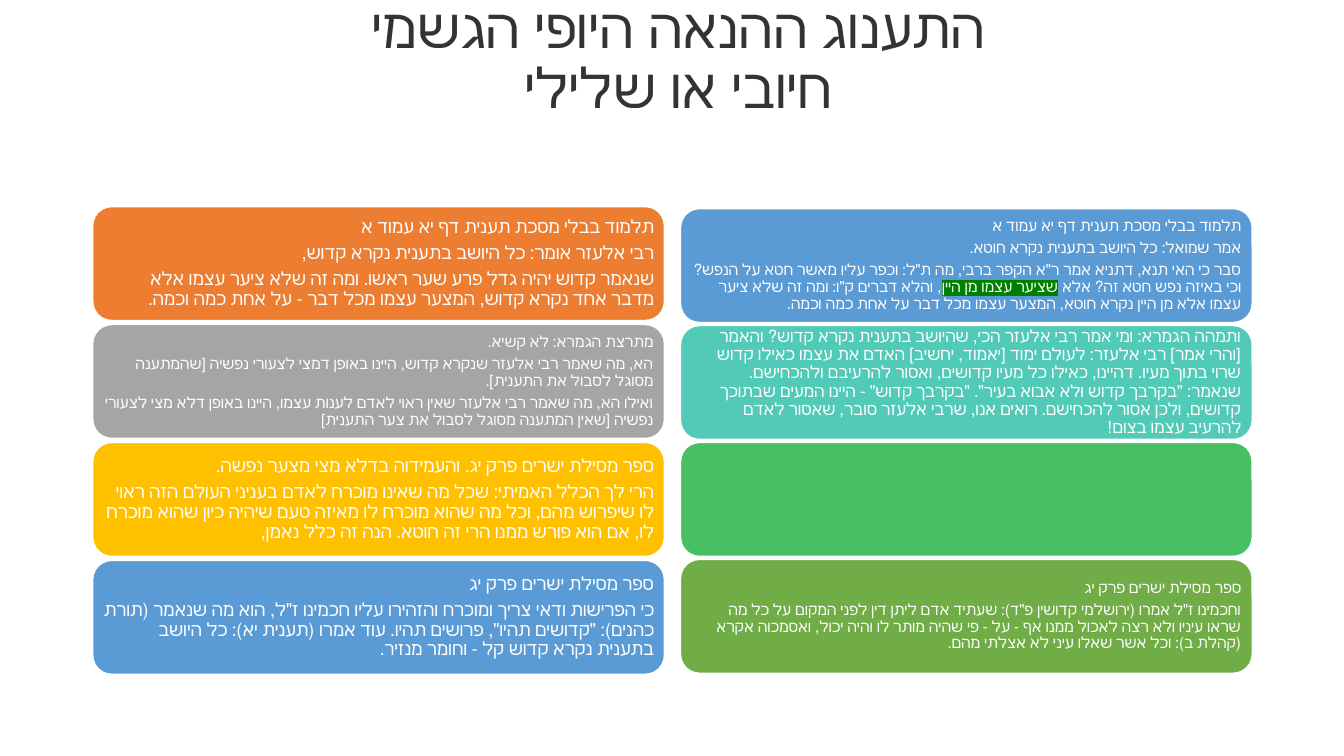
"""Build a Hebrew slide with two columns of quotation cards under a title."""
import pptx
import pptx.dml.color
import pptx.enum.shapes
import pptx.enum.text
import pptx.oxml
import pptx.oxml.ns
import pptx.util
from pptx.util import Inches

RGBColor = pptx.dml.color.RGBColor
ALIGN = pptx.enum.text.PP_ALIGN
MIDDLE = pptx.enum.text.MSO_ANCHOR.MIDDLE
WHITE = RGBColor(0xFF, 0xFF, 0xFF)
DARK = RGBColor(0x33, 0x33, 0x33)
ORANGE = RGBColor(0xED, 0x7D, 0x31)
GRAY = RGBColor(0xA5, 0xA5, 0xA5)
GOLD = RGBColor(0xFF, 0xC0, 0x00)
BLUE = RGBColor(0x5B, 0x9B, 0xD5)
TEAL = RGBColor(0x52, 0xCA, 0xB8)
GREEN = RGBColor(0x49, 0xBF, 0x64)
OLIVE = RGBColor(0x70, 0xAD, 0x47)
MARK = RGBColor(0x00, 0x80, 0x00)
KEY = "שציער עצמו מן היין"

LEFT = [
    (ORANGE, 13, [
        "תלמוד בבלי מסכת תענית דף יא עמוד א",
        "רבי אלעזר אומר: כל היושב בתענית נקרא קדוש,",
        "שנאמר קדוש יהיה גדל פרע שער ראשו. ומה זה שלא ציער עצמו אלא "
        "מדבר אחד נקרא קדוש, המצער עצמו מכל דבר - על אחת כמה וכמה."]),
    (GRAY, 11, [
        "מתרצת הגמרא: לא קשיא.",
        "הא, מה שאמר רבי אלעזר שנקרא קדוש, היינו באופן דמצי לצעורי נפשיה "
        "[שהמתענה מסוגל לסבול את התענית].",
        "ואילו הא, מה שאמר רבי אלעזר שאין ראוי לאדם לענות עצמו, היינו באופן "
        "דלא מצי לצעורי נפשיה [שאין המתענה מסוגל לסבול את צער התענית]"]),
    (GOLD, 13, [
        "ספר מסילת ישרים פרק יג. והעמידוה בדלא מצי מצער נפשה.",
        "הרי לך הכלל האמיתי: שכל מה שאינו מוכרח לאדם בעניני העולם הזה ראוי "
        "לו שיפרוש מהם, וכל מה שהוא מוכרח לו מאיזה טעם שיהיה כיון שהוא מוכרח "
        "לו, אם הוא פורש ממנו הרי זה חוטא. הנה זה כלל נאמן,"]),
    (BLUE, 13, [
        "ספר מסילת ישרים פרק יג",
        'כי הפרישות ודאי צריך ומוכרח והזהירו עליו חכמינו ז"ל, הוא מה שנאמר '
        '(תורת כהנים): "קדושים תהיו", פרושים תהיו. עוד אמרו (תענית יא): '
        "כל היושב בתענית נקרא קדוש קל - וחומר מנזיר."]),
]
RIGHT = [
    (BLUE, 11, [
        "תלמוד בבלי מסכת תענית דף יא עמוד א",
        "אמר שמואל: כל היושב בתענית נקרא חוטא.",
        'סבר כי האי תנא, דתניא אמר ר"א הקפר ברבי, מה ת"ל: וכפר עליו מאשר חטא '
        f"על הנפש? וכי באיזה נפש חטא זה? אלא {KEY}"
        ', והלא דברים ק"ו: ומה זה שלא ציער עצמו אלא מן היין נקרא חוטא, '
        "המצער עצמו מכל דבר על אחת כמה וכמה."]),
    (TEAL, 12, [
        "ותמהה הגמרא: ומי אמר רבי אלעזר הכי, שהיושב בתענית נקרא קדוש? והאמר "
        "[והרי אמר] רבי אלעזר: לעולם ימוד [יאמוד, יחשיב] האדם את עצמו כאילו "
        "קדוש שרוי בתוך מעיו. דהיינו, כאילו כל מעיו קדושים, ואסור להרעיבם "
        'ולהכחישם. שנאמר: "בקרבך קדוש ולא אבוא בעיר". "בקרבך קדוש" - היינו '
        "המעים שבתוכך קדושים, ולכן אסור להכחישם. רואים אנו, שרבי אלעזר סובר, "
        "שאסור לאדם להרעיב עצמו בצום!"]),
    (GREEN, 12, []),
    (OLIVE, 11, [
        "ספר מסילת ישרים פרק יג",
        'וחכמינו ז"ל אמרו (ירושלמי קדושין פ"ד): שעתיד אדם ליתן דין לפני המקום '
        "על כל מה שראו עיניו ולא רצה לאכול ממנו אף - על - פי שהיה מותר לו "
        "והיה יכול, ואסמכוה אקרא (קהלת ב): וכל אשר שאלו עיני לא אצלתי מהם."]),
]


def style(para, size, face, color, align):
    """Set right-to-left direction, spacing and font on a paragraph."""
    para.alignment = align
    para.line_spacing = 0.9
    para._p.get_or_add_pPr().set("rtl", "1")
    para.font.size = pptx.util.Pt(size)
    para.font.name = face
    para.font.color.rgb = color


def mark(run):
    """Put a highlight behind a run."""
    ns = pptx.oxml.ns.nsdecls("a")
    run._r.get_or_add_rPr().append(pptx.oxml.parse_xml(
        f'<a:highlight {ns}><a:srgbClr val="{MARK}"/></a:highlight>'))


deck = pptx.Presentation()
deck.slide_width = Inches(13.33)
deck.slide_height = Inches(7.5)
slide = deck.slides.add_slide(deck.slide_layouts[6])

title = slide.shapes.add_textbox(Inches(0.98), Inches(0), Inches(11.5), Inches(1.2))
frame = title.text_frame
frame.word_wrap = True
frame.vertical_anchor = MIDDLE
para = frame.paragraphs[0]
para.text = "התענוג ההנאה היופי הגשמי\vחיובי או שלילי"
style(para, 39.6, "Roboto", DARK, ALIGN.CENTER)

for left, top, step, cards in [(0.92, 2.05, 1.17, LEFT), (6.75, 2.07, 1.16, RIGHT)]:
    for row, (fill, size, lines) in enumerate(cards):
        card = slide.shapes.add_shape(
            pptx.enum.shapes.MSO_SHAPE.ROUNDED_RECTANGLE,
            Inches(left), Inches(top + row * step), Inches(5.67), Inches(1.13))
        card.shadow.inherit = False
        card.fill.solid()
        card.fill.fore_color.rgb = fill
        card.line.color.rgb = WHITE
        card.line.width = pptx.util.Pt(1)
        frame = card.text_frame
        frame.word_wrap = True
        frame.vertical_anchor = MIDDLE
        frame.margin_left = frame.margin_right = Inches(0.05)
        frame.margin_top = frame.margin_bottom = Inches(0.05)
        for num, line in enumerate(lines):
            para = frame.add_paragraph() if num else frame.paragraphs[0]
            before, key, after = line.partition(KEY)
            for part in filter(None, (before, key, after)):
                run = para.add_run()
                run.text = part
                if part == KEY:
                    mark(run)
            style(para, size, "Calibri", WHITE, ALIGN.RIGHT)
            para.space_after = pptx.util.Pt(0.35 * size)

deck.save("out.pptx")
